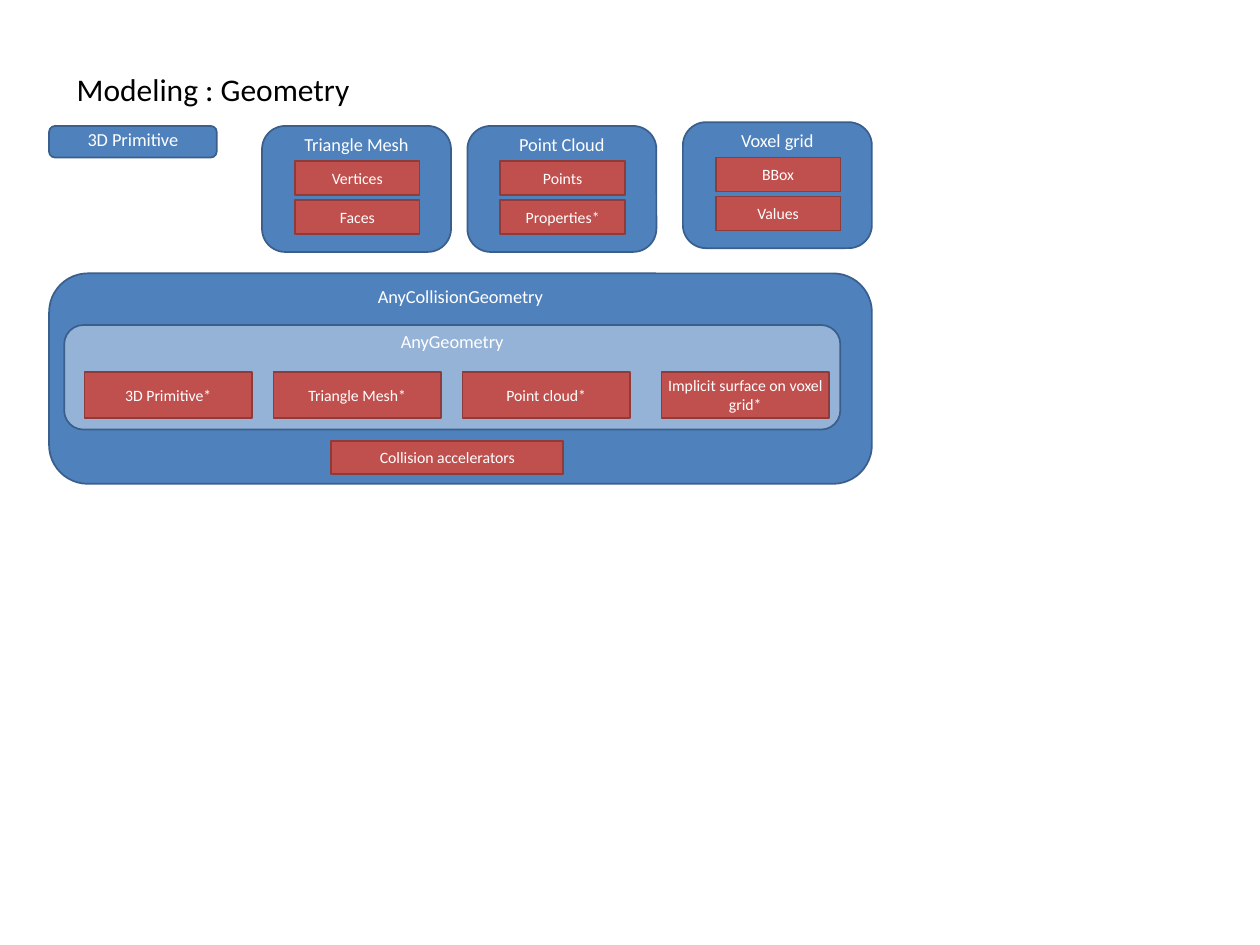
from dataclasses import dataclass

from pptx import Presentation
from pptx.dml.color import RGBColor
from pptx.enum.shapes import MSO_SHAPE
from pptx.enum.text import MSO_ANCHOR, MSO_AUTO_SIZE, PP_ALIGN
from pptx.util import Inches, Pt

ROUNDED, RECT = MSO_SHAPE.ROUNDED_RECTANGLE, MSO_SHAPE.RECTANGLE
TOP, MIDDLE = MSO_ANCHOR.TOP, MSO_ANCHOR.MIDDLE
CENTER = PP_ALIGN.CENTER
FIT_SHAPE = MSO_AUTO_SIZE.SHAPE_TO_FIT_TEXT


@dataclass(frozen=True)
class Theme:
    font: str = "Calibri"
    ink: str = "000000"
    on_fill: str = "FFFFFF"
    blue: str = "4F81BD"
    light_blue: str = "95B3D7"
    blue_edge: str = "3A5F8C"
    red: str = "C0504D"
    red_edge: str = "8E3B39"
    title_size: float = 18
    group_size: float = 10.5
    part_size: float = 9
    corner: float = 0.184


theme = Theme()
prs = Presentation()
prs.slide_width, prs.slide_height = Inches(10), Inches(7.5)
slide = prs.slides.add_slide(prs.slide_layouts[6])


def add_run(paragraph, text, size, color):
    run = paragraph.add_run()
    run.text = text
    run.font.name = theme.font
    run.font.size = Pt(size)
    run.font.color.rgb = RGBColor.from_string(color)


def add_box(text, left, top, width, height, fill=None):
    """A rounded group when a fill is given, otherwise a red part."""
    is_group = fill is not None
    box = slide.shapes.add_shape(ROUNDED if is_group else RECT, Inches(left),
                                 Inches(top), Inches(width), Inches(height))
    if is_group:
        box.adjustments[0] = theme.corner
    box.shadow.inherit = False
    box.fill.solid()
    box.fill.fore_color.rgb = RGBColor.from_string(fill or theme.red)
    box.line.color.rgb = RGBColor.from_string(
        theme.blue_edge if is_group else theme.red_edge)
    box.line.width = Pt(1)
    frame = box.text_frame
    frame.word_wrap = True
    frame.vertical_anchor = TOP if is_group else MIDDLE
    frame.margin_left = frame.margin_right = 0
    frame.margin_top = frame.margin_bottom = Inches(0 if is_group else 0.05)
    frame.paragraphs[0].alignment = CENTER
    add_run(frame.paragraphs[0], text,
            theme.group_size if is_group else theme.part_size, theme.on_fill)


# Title
title = slide.shapes.add_textbox(Inches(0.51), Inches(0.51), Inches(2.39), Inches(0.4))
title.text_frame.word_wrap = False
title.text_frame.auto_size = FIT_SHAPE
add_run(title.text_frame.paragraphs[0], "Modeling : Geometry", theme.title_size, theme.ink)

# Geometry types with their stored parts
add_box("3D Primitive", 0.39, 1, 1.33, 0.25, theme.blue)
geometry_types = [
    ("Triangle Mesh", 2.08, 1, ["Vertices", "Faces"]),
    ("Point Cloud", 3.71, 1, ["Points", "Properties*"]),
    ("Voxel grid", 5.42, 0.97, ["BBox", "Values"]),
]
for name, left, top, parts in geometry_types:
    add_box(name, left, top, 1.5, 1, theme.blue)
    for row, part in enumerate(parts):
        add_box(part, left + 0.26, top + 0.28 + row * 0.31, 0.99, 0.27)

# Collision geometry wrapping any geometry
add_box("AnyCollisionGeometry", 0.39, 2.17, 6.53, 1.67, theme.blue)
add_box("AnyGeometry", 0.51, 2.58, 6.16, 0.83, theme.light_blue)
variants = [
    ("3D Primitive*", 0.67),
    ("Triangle Mesh*", 2.17),
    ("Point cloud*", 3.67),
    ("Implicit surface on voxel grid*", 5.25),
]
for variant, left in variants:
    add_box(variant, left, 2.95, 1.33, 0.37)
add_box("Collision accelerators", 2.63, 3.5, 1.84, 0.26)

prs.save("out.pptx")
